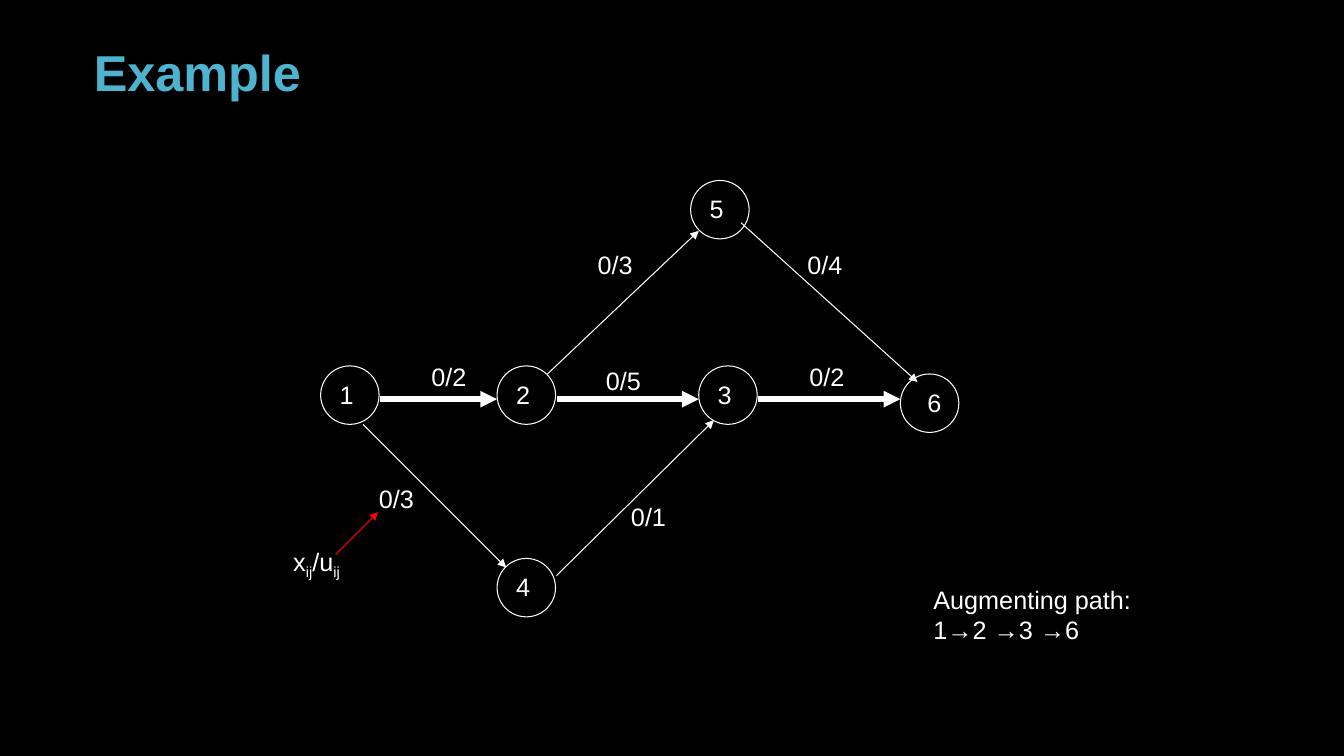
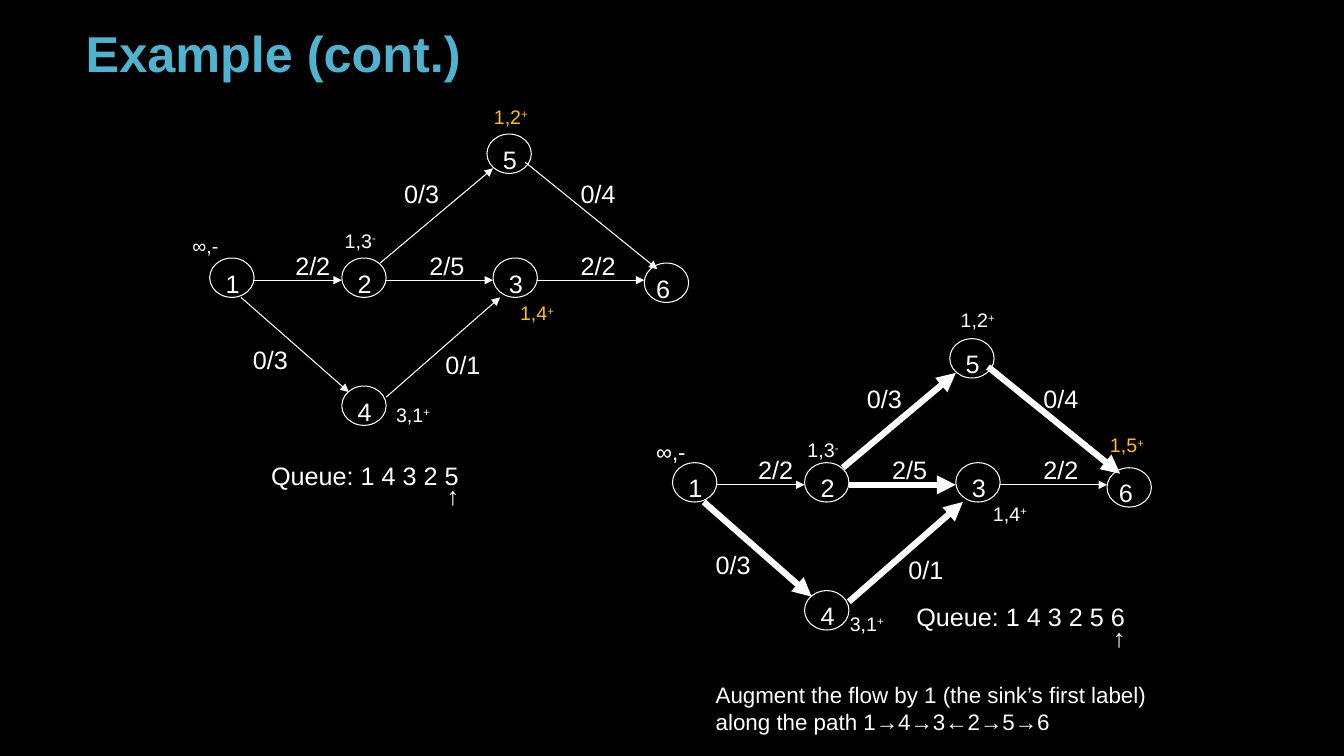
from lxml import etree
from pptx import Presentation
from pptx.dml.color import RGBColor
from pptx.enum import shapes, text
from pptx.oxml.ns import qn
from pptx.util import Inches, Pt

FONT = "Arial"
BLACK, WHITE, RED = "000000", "FFFFFF", "FF0000"
BLUE, GOLD = "4EB3CF", "FFC000"
THIN = 0.75

WIDE = {
    "size": (0.58, 0.58),
    "shift": (0.09, 0.08),
    "last": (0.17, 0.08),
    "nodes": [(3.18, 3.63), (4.93, 3.63), (6.93, 3.63),
              (4.93, 5.54), (6.85, 1.79), (8.93, 3.71)],
    "edges": {
        "1-4": ((3.6, 4.21), (5.02, 5.63), "0/3", (3.66, 4.75)),
        "1-2": ((3.77, 3.96), (4.93, 3.96), "0/2", (4.18, 3.54)),
        "2-5": ((5.43, 3.71), (6.93, 2.29), "0/3", (5.83, 2.42)),
        "2-3": ((5.52, 3.96), (6.93, 3.96), "0/5", (5.91, 3.58)),
        "4-3": ((5.52, 5.71), (7.08, 4.17), "0/1", (6.16, 4.92)),
        "3-6": ((7.52, 3.96), (8.93, 3.96), "0/2", (7.93, 3.54)),
        "5-6": ((7.35, 2.21), (9.1, 3.79), "0/4", (7.91, 2.42)),
    },
}

SMALL = {
    "size": (0.44, 0.39),
    "shift": (0.06, 0.05),
    "last": (0.02, 0.05),
    "nodes": [(2.08, 2.56), (3.39, 2.56), (4.89, 2.56),
              (3.39, 3.83), (4.83, 1.33), (6.39, 2.61)],
    "edges": {
        "1-4": ((2.39, 2.95), (3.46, 3.89), "0/3", (2.41, 3.37)),
        "1-2": ((2.52, 2.78), (3.39, 2.78), "2/2", (2.83, 2.43)),
        "2-5": ((3.77, 2.61), (4.89, 1.67), "0/3", (3.91, 1.72)),
        "2-3": ((3.83, 2.78), (4.89, 2.78), "2/5", (4.16, 2.43)),
        "4-3": ((3.83, 3.94), (4.96, 2.95), "0/1", (4.32, 3.42)),
        "3-6": ((5.33, 2.78), (6.39, 2.78), "2/2", (5.66, 2.43)),
        "5-6": ((5.21, 1.61), (6.52, 2.67), "0/4", (5.66, 1.72)),
    },
}

TAGS = [
    (3.83, 3.95, 0.55, "3,1", "+", WHITE),
    (5.06, 2.94, 0.55, "1,4", "+", GOLD),
    (3.32, 2.22, 0.52, "1,3", "-", WHITE),
    (4.8, 0.99, 0.55, "1,2", "+", GOLD),
    (7.91, 4.3, 0.52, "1,3", "-", WHITE),
    (9.75, 4.93, 0.55, "1,4", "+", WHITE),
    (8.33, 6.02, 0.55, "3,1", "+", WHITE),
    (9.43, 3.01, 0.55, "1,2", "+", WHITE),
    (10.91, 4.25, 0.55, "1,5", "+", GOLD),
]


def paint(color, hue):
    color.rgb = RGBColor.from_string(hue)


def add_run(para, words, size=18, hue=WHITE, bold=False, base=0):
    run = para.add_run()
    run.text = words
    run.font.name = FONT
    run.font.size = Pt(size)
    run.font.bold = bold
    paint(run.font.color, hue)
    if base:
        run.font._element.set("baseline", str(base * 1000))


def add_text(slide, box, rows, size=18, hue=WHITE, wrap=False):
    frame = slide.shapes.add_textbox(*map(Inches, box)).text_frame
    frame.word_wrap = wrap
    frame.auto_size = text.MSO_AUTO_SIZE.SHAPE_TO_FIT_TEXT
    for i, row in enumerate(rows):
        para = frame.add_paragraph() if i else frame.paragraphs[0]
        for words, base in row:
            add_run(para, words, size, hue, base=base)
    return frame


def add_arrow(slide, start, end, hue=WHITE, weight=THIN):
    line = slide.shapes.add_connector(
        shapes.MSO_CONNECTOR.STRAIGHT, *map(Inches, start + end))
    paint(line.line.color, hue)
    line.line.width = Pt(weight)
    tip = etree.SubElement(line.line._get_or_add_ln(), qn("a:tailEnd"))
    tip.set("type", "triangle")
    etree.SubElement(line._element.spPr, qn("a:effectLst"))


def add_node(slide, spot, size):
    ring = slide.shapes.add_shape(
        shapes.MSO_SHAPE.OVAL, *map(Inches, spot + size))
    ring.shadow.inherit = False
    ring.fill.background()
    paint(ring.line.color, WHITE)
    ring.line.width = Pt(THIN)


def add_graph(slide, plan, bold=(), weight=THIN, move=(0, 0)):
    def place(spot, shift=(0, 0)):
        return tuple(a + b + c for a, b, c in zip(spot, shift, move))

    for spot in plan["nodes"]:
        add_node(slide, place(spot), plan["size"])
    for name, (start, end, flow, spot) in plan["edges"].items():
        add_arrow(slide, place(start), place(end),
                  weight=weight if name in bold else THIN)
        add_text(slide, place(spot) + (0.55, 0.4), [[(flow, 0)]])
    for num, spot in enumerate(plan["nodes"], 1):
        shift = plan["last" if num == len(plan["nodes"]) else "shift"]
        add_text(slide, place(spot, shift) + (0.34, 0.4), [[(str(num), 0)]])


def add_queue(slide, box, words, indent):
    frame = add_text(slide, box, [[(words, 0)], [("↑", 0)]], wrap=True)
    for para in frame.paragraphs:
        para.line_spacing = 0.25
    mark = frame.paragraphs[1]
    mark.space_before = Pt(9)
    props = mark._p.get_or_add_pPr()
    props.set("marL", str(Inches(indent)))
    props.set("indent", "0")


def add_slide(deck, title, left, top):
    slide = deck.slides.add_slide(deck.slide_layouts.get_by_name("Title Only"))
    head = slide.shapes.title
    head.left, head.top = Inches(left), Inches(top)
    head.width, head.height = Inches(10), Inches(0.7)
    frame = head.text_frame
    frame.auto_size = text.MSO_AUTO_SIZE.NONE
    frame.vertical_anchor = text.MSO_ANCHOR.BOTTOM
    para = frame.paragraphs[0]
    para.alignment = text.PP_ALIGN.LEFT
    para.line_spacing = 0.9
    add_run(para, title, 36, BLUE, bold=True)
    return slide


def add_first(deck):
    slide = add_slide(deck, "Example", 0.83, 0.37)
    add_graph(slide, WIDE, ("1-2", "2-3", "3-6"), 4)
    add_text(slide, (9.16, 5.75, 2.16, 0.7),
             [[("Augmenting path:", 0)], [("1→2 →3 →6", 0)]])
    add_text(slide, (2.81, 5.37, 0.68, 0.4),
             [[("x", 0), ("ij", -25), ("/u", 0), ("ij", -25)]])
    add_arrow(slide, (3.33, 5.5), (3.75, 5.08), RED)


def add_second(deck):
    slide = add_slide(deck, "Example (cont.)", 0.75, 0.18)
    add_graph(slide, SMALL)
    add_graph(slide, SMALL, ("1-4", "4-3", "2-3", "2-5", "5-6"), 4.5,
              (4.59, 2.03))
    add_text(slide, (1.81, 2.27, 0.46, 0.34), [[("∞,-", 0)]], 14)
    add_text(slide, (6.41, 4.3, 0.5, 0.37), [[("∞,-", 0)]], 16)
    for left, top, width, words, sign, hue in TAGS:
        add_text(slide, (left, top, width, 0.34),
                 [[(words, 0), (sign, 30)]], 14, hue)
    add_queue(slide, (2.59, 4.71, 2.32, 0.44), "Queue: 1 4 3 2 5", 1.74)
    add_queue(slide, (8.99, 6.11, 2.3, 0.44), "Queue: 1 4 3 2 5 6", 1.95)
    add_text(slide, (7, 6.71, 5, 0.64),
             [[("Augment the flow by 1 (the sink’s first label) "
                "along the path 1→4→3←2→5→6", 0)]], 16, wrap=True)


def main():
    deck = Presentation()
    deck.slide_width, deck.slide_height = Inches(13.33), Inches(7.5)
    fill = deck.slide_master.background.fill
    fill.solid()
    paint(fill.fore_color, BLACK)
    add_first(deck)
    add_second(deck)
    deck.save("out.pptx")


if __name__ == "__main__":
    main()
